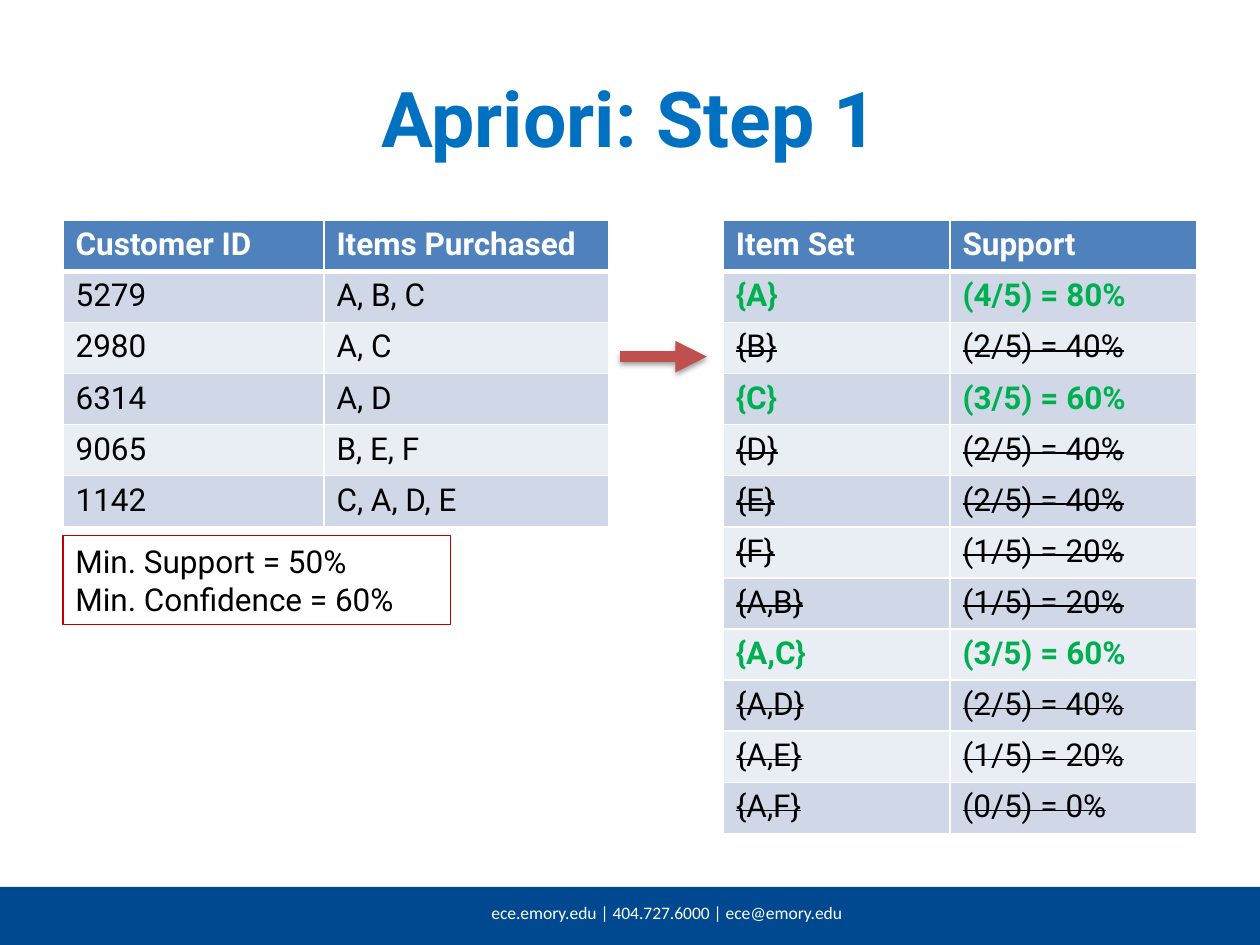
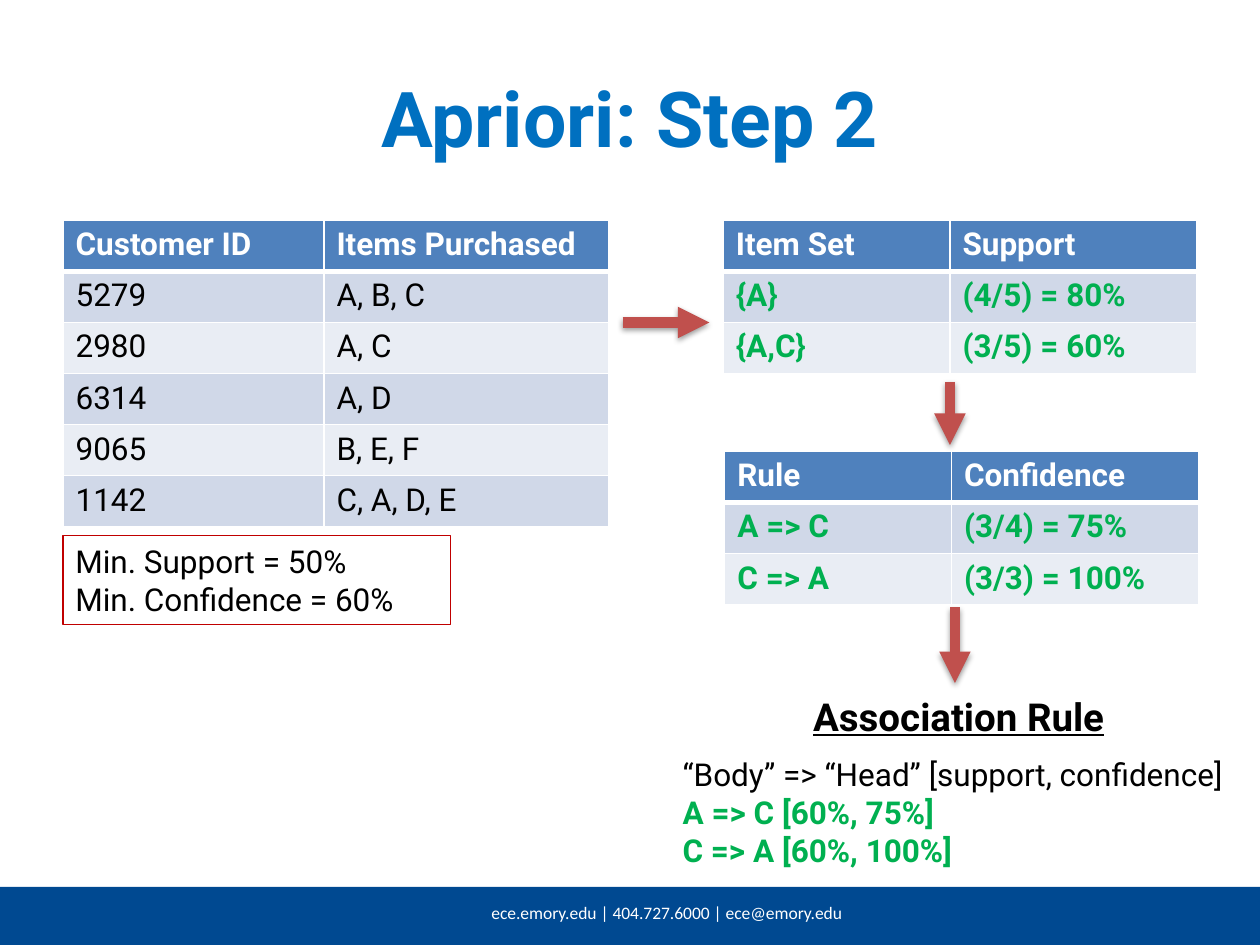
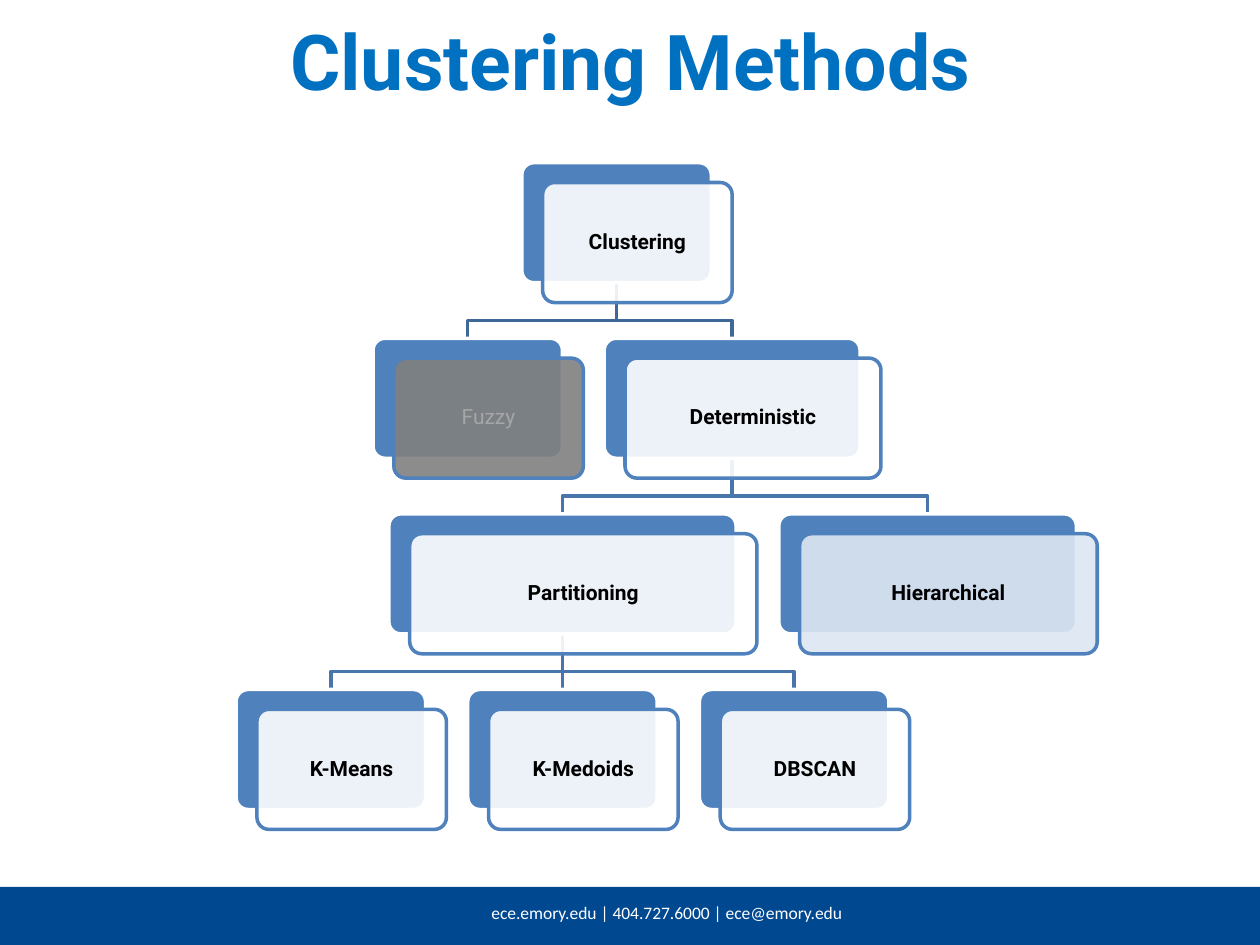
from dataclasses import dataclass

from lxml import etree
from pptx import Presentation
from pptx.dml.color import RGBColor
from pptx.enum.shapes import MSO_CONNECTOR, MSO_SHAPE
from pptx.enum.text import MSO_ANCHOR, PP_ALIGN
from pptx.oxml import parse_xml
from pptx.oxml.ns import nsdecls, qn
from pptx.util import Cm, Pt

STRAIGHT = MSO_CONNECTOR.STRAIGHT
RECTANGLE, ROUNDED = MSO_SHAPE.RECTANGLE, MSO_SHAPE.ROUNDED_RECTANGLE
LEFT, CENTER = PP_ALIGN.LEFT, PP_ALIGN.CENTER
MIDDLE = MSO_ANCHOR.MIDDLE
BOTTOM_SIDE, TOP_SIDE = 2, 0


@dataclass(frozen=True)
class Theme:
    font: str = "Roboto"
    footer_font: str = "Calibri"
    title_size: int = 44
    heading_size: int = 22
    body_size: int = 18
    card_size: int = 12
    footer_size: int = 10
    title: str = "0070C0"
    footer: str = "004991"
    white: str = "FFFFFF"
    black: str = "000000"
    accent: str = "4F81BD"
    bands: tuple = ("D0D8E8", "E9EDF4")
    keep: str = "00B050"
    frame: str = "C00000"
    arrow: str = "C0504D"
    root_link: str = "3F6797"
    link: str = "4875AC"
    muted_card: str = "808080"
    muted_text: str = "A6A6A6"
    pale_card: str = "DCE6F2"


theme = Theme()


def add_run(paragraph, text, size, color, bold=False, font=theme.font):
    run = paragraph.add_run()
    run.text = text
    run.font.name = font
    run.font.size = Pt(size)
    run.font.bold = bold
    run.font.color.rgb = RGBColor.from_string(color)
    return run


def add_grid(slide, left, top, widths, rows):
    """Table whose rows with a support or confidence are kept or struck out."""
    row_height = 1.03
    table = slide.shapes.add_table(
        len(rows), len(widths), Cm(left), Cm(top),
        Cm(sum(widths)), Cm(row_height * len(rows))).table
    for column, width in zip(table.columns, widths):
        column.width = Cm(width)
    for row_index, values in enumerate(rows):
        table.rows[row_index].height = Cm(row_height)
        header = row_index == 0
        rated = not header and values[-1].endswith("%")
        kept = rated and int(values[-1].split("= ")[1].rstrip("%")) >= MIN_SUPPORT
        fill = theme.accent if header else theme.bands[(row_index - 1) % 2]
        color = theme.white if header else theme.keep if kept else theme.black
        for column_index, value in enumerate(values):
            cell = table.cell(row_index, column_index)
            cell.fill.solid()
            cell.fill.fore_color.rgb = RGBColor.from_string(fill)
            run = add_run(cell.text_frame.paragraphs[0], value,
                          theme.body_size, color, header or kept)
            if rated and not kept:
                run._r.get_or_add_rPr().set("strike", "sngStrike")
            # White borders, heavier under the header
            heavy = {0: "lnB", 1: "lnT"}.get(row_index)
            for position, side in enumerate(("lnL", "lnR", "lnT", "lnB")):
                width = Pt(3 if side == heavy else 1)
                cell._tc.get_or_add_tcPr().insert(position, parse_xml(
                    f'<a:{side} {nsdecls("a")} w="{width}"><a:solidFill>'
                    f'<a:srgbClr val="{theme.white}"/></a:solidFill></a:{side}>'))


# Content
MIN_SUPPORT = 50
CRITERIA = ("Min. Support = 50%", "Min. Confidence = 60%")
PURCHASES = [
    ("Customer ID", "Items Purchased"), ("5279", "A, B, C"), ("2980", "A, C"),
    ("6314", "A, D"), ("9065", "B, E, F"), ("1142", "C, A, D, E")]
ITEM_SETS = [
    ("Item Set", "Support"), ("{A}", "(4/5) = 80%"), ("{B}", "(2/5) = 40%"),
    ("{C}", "(3/5) = 60%"), ("{D}", "(2/5) = 40%"), ("{E}", "(2/5) = 40%"),
    ("{F}", "(1/5) = 20%"), ("{A,B}", "(1/5) = 20%"), ("{A,C}", "(3/5) = 60%"),
    ("{A,D}", "(2/5) = 40%"), ("{A,E}", "(1/5) = 20%"), ("{A,F}", "(0/5) = 0%")]
FREQUENT_SETS = [ITEM_SETS[0], ITEM_SETS[1], ITEM_SETS[8]]
RULES = [("Rule", "Confidence"), ("A => C", "(3/4) = 75%"), ("C => A", "(3/3) = 100%")]

presentation = Presentation()
presentation.slide_width, presentation.slide_height = Cm(25.4), Cm(19.05)

# Shared frame: footer band, contact line and title
step_title = (1.27, 0.76, 22.86, 3.18)
titles = [("Apriori: Step 1", step_title), ("Apriori: Step 2", step_title),
          ("Clustering Methods", (2.24, 0, 20.96, 2.41))]
slides = []
for title, title_box in titles:
    slide = presentation.slides.add_slide(presentation.slide_layouts[6])
    slides.append(slide)
    band = slide.shapes.add_shape(RECTANGLE, 0, Cm(17.88), Cm(25.4), Cm(1.17))
    band.shadow.inherit = False
    band.fill.solid()
    band.fill.fore_color.rgb = RGBColor.from_string(theme.footer)
    band.line.fill.background()

    contact = slide.shapes.add_textbox(Cm(8.46), Cm(18.06), Cm(9.96), Cm(0.71)).text_frame
    contact.word_wrap = True
    contact.paragraphs[0].alignment = CENTER
    add_run(contact.paragraphs[0], "ece.emory.edu | 404.727.6000 | ece@emory.edu",
            theme.footer_size, theme.white, font=theme.footer_font)

    heading = slide.shapes.add_textbox(*map(Cm, title_box)).text_frame
    heading.word_wrap = True
    heading.vertical_anchor = MIDDLE
    heading.paragraphs[0].alignment = CENTER
    add_run(heading.paragraphs[0], title, theme.title_size, theme.title, True)
step_1, step_2, methods = slides

# Steps 1 and 2: purchases and thresholds on the left, item sets on the right
result_widths = (4.57, 4.98)
for slide, item_sets in ((step_1, ITEM_SETS), (step_2, FREQUENT_SETS)):
    add_grid(slide, 1.27, 4.44, (5.26, 5.74), PURCHASES)
    add_grid(slide, 14.58, 4.44, result_widths, item_sets)
    criteria = slide.shapes.add_textbox(Cm(1.27), Cm(10.8), Cm(7.82), Cm(1.79))
    criteria.line.color.rgb = RGBColor.from_string(theme.frame)
    criteria.line.width = Pt(0.75)
    frame = criteria.text_frame
    frame.word_wrap = True
    for index, line in enumerate(CRITERIA):
        paragraph = frame.add_paragraph() if index else frame.paragraphs[0]
        add_run(paragraph, line, theme.body_size, theme.black)

# Step 2: rules and the resulting association
add_grid(step_2, 14.61, 9.1, result_widths, RULES)
association = step_2.shapes.add_textbox(Cm(13.51), Cm(13.84), Cm(11.63), Cm(4.78)).text_frame
association.word_wrap = True
association_lines = [
    ("Association Rule", theme.heading_size, theme.black, True),
    ("“Body” => “Head” [support, confidence]", theme.body_size, theme.black, False),
    ("A => C [60%, 75%]", theme.body_size, theme.keep, True),
    ("C => A [60%, 100%]", theme.body_size, theme.keep, True)]
for index, line in enumerate(association_lines):
    paragraph = association.add_paragraph() if index else association.paragraphs[0]
    paragraph.alignment = LEFT if index else CENTER
    if index == 1:
        paragraph.space_before = Pt(9.4)
    add_run(paragraph, *line).font.underline = index == 0

# Block arrows between the tables
for slide, *ends in (
        (step_1, 12.5, 7.19, 14.25, 7.19),
        (step_2, 12.55, 6.5, 14.3, 6.5),
        (step_2, 19.15, 7.7, 19.15, 8.97),
        (step_2, 19.25, 12.24, 19.25, 13.77)):
    arrow = slide.shapes.add_connector(STRAIGHT, *map(Cm, ends))
    arrow.line.color.rgb = RGBColor.from_string(theme.arrow)
    arrow.line.width = Pt(6)
    etree.SubElement(arrow.line._get_or_add_ln(), qn("a:tailEnd"), type="triangle")
    arrow._element.spPr.append(parse_xml(
        f'<a:effectLst {nsdecls("a")}><a:outerShdw blurRad="40000" dist="20000" '
        f'dir="5400000" rotWithShape="0"><a:srgbClr val="{theme.black}">'
        '<a:alpha val="38000"/></a:srgbClr></a:outerShdw></a:effectLst>'))

# Clustering tree: name -> (level, left, width, parent)
first_level, level_pitch, card_height = 3.28, 3.54, 2.42
small, leaf_left, leaf_pitch = 3.82, 4.76, 4.67
tree = {
    "Clustering": (0, 10.52, small, None),
    "Fuzzy": (1, 7.52, small, "Clustering"),
    "Deterministic": (1, 12.18, 5.16, "Clustering"),
    "Partitioning": (2, 7.84, 7.0, "Deterministic"),
    "Hierarchical": (2, 15.7, 6.0, "Deterministic")}
for index, name in enumerate(("K-Means", "K-Medoids", "DBSCAN")):
    tree[name] = (3, leaf_left + index * leaf_pitch, small, "Partitioning")
card_fills = {"Fuzzy": theme.muted_card, "Hierarchical": theme.pale_card}

# Links lie behind the cards
straight_links = []
for name, (level, left, width, parent) in tree.items():
    if parent is None:
        continue
    parent_level, parent_left, parent_width, _ = tree[parent]
    start_x = round(parent_left + parent_width / 2, 2)
    end_x = round(left + width / 2, 2)
    start_y = first_level + parent_level * level_pitch + card_height
    end_y = first_level + level * level_pitch
    bend_y = end_y - 0.36
    if start_x == end_x:
        link = methods.shapes.add_connector(
            STRAIGHT, Cm(start_x), Cm(start_y), Cm(end_x), Cm(end_y))
        etree.SubElement(link._element.spPr, qn("a:effectLst"))
        straight_links.append((link, parent, name))
    else:
        outline = methods.shapes.build_freeform(Cm(start_x), Cm(start_y))
        outline.add_line_segments(
            [(Cm(start_x), Cm(bend_y)), (Cm(end_x), Cm(bend_y)), (Cm(end_x), Cm(end_y))],
            close=False)
        link = outline.convert_to_shape()
        link.shadow.inherit = False
        link.fill.background()
    link.line.color.rgb = RGBColor.from_string(
        theme.link if parent_level else theme.root_link)
    link.line.width = Pt(2)

# Each card is a solid back with a translucent front that holds the name
backs = {}
for name, (level, left, width, parent) in tree.items():
    top = first_level + level * level_pitch
    fill = card_fills.get(name, theme.white)
    for shift_x, shift_y, color, edge in (
            (0, 0, theme.accent, theme.white), (0.42, 0.4, fill, theme.accent)):
        card = methods.shapes.add_shape(
            ROUNDED, Cm(left + shift_x), Cm(top + shift_y), Cm(width), Cm(card_height))
        card.adjustments[0] = 0.1
        card.shadow.inherit = False
        card.fill.solid()
        card.fill.fore_color.rgb = RGBColor.from_string(color)
        card.line.color.rgb = RGBColor.from_string(edge)
        card.line.width = Pt(2)
        backs.setdefault(name, card)
    fill_color = card._element.spPr.find(qn("a:solidFill")).find(qn("a:srgbClr"))
    etree.SubElement(fill_color, qn("a:alpha"), val="90000")
    frame = card.text_frame
    frame.word_wrap = True
    frame.vertical_anchor = MIDDLE
    frame.margin_left = frame.margin_right = frame.margin_top = frame.margin_bottom = Cm(0.13)
    paragraph = frame.paragraphs[0]
    paragraph.alignment = CENTER
    paragraph.line_spacing = 0.9
    muted = fill == theme.muted_card
    add_run(paragraph, name, theme.card_size,
            theme.muted_text if muted else theme.black, not muted)

for link, parent, child in straight_links:
    link.begin_connect(backs[parent], BOTTOM_SIDE)
    link.end_connect(backs[child], TOP_SIDE)

presentation.save("out.pptx")
